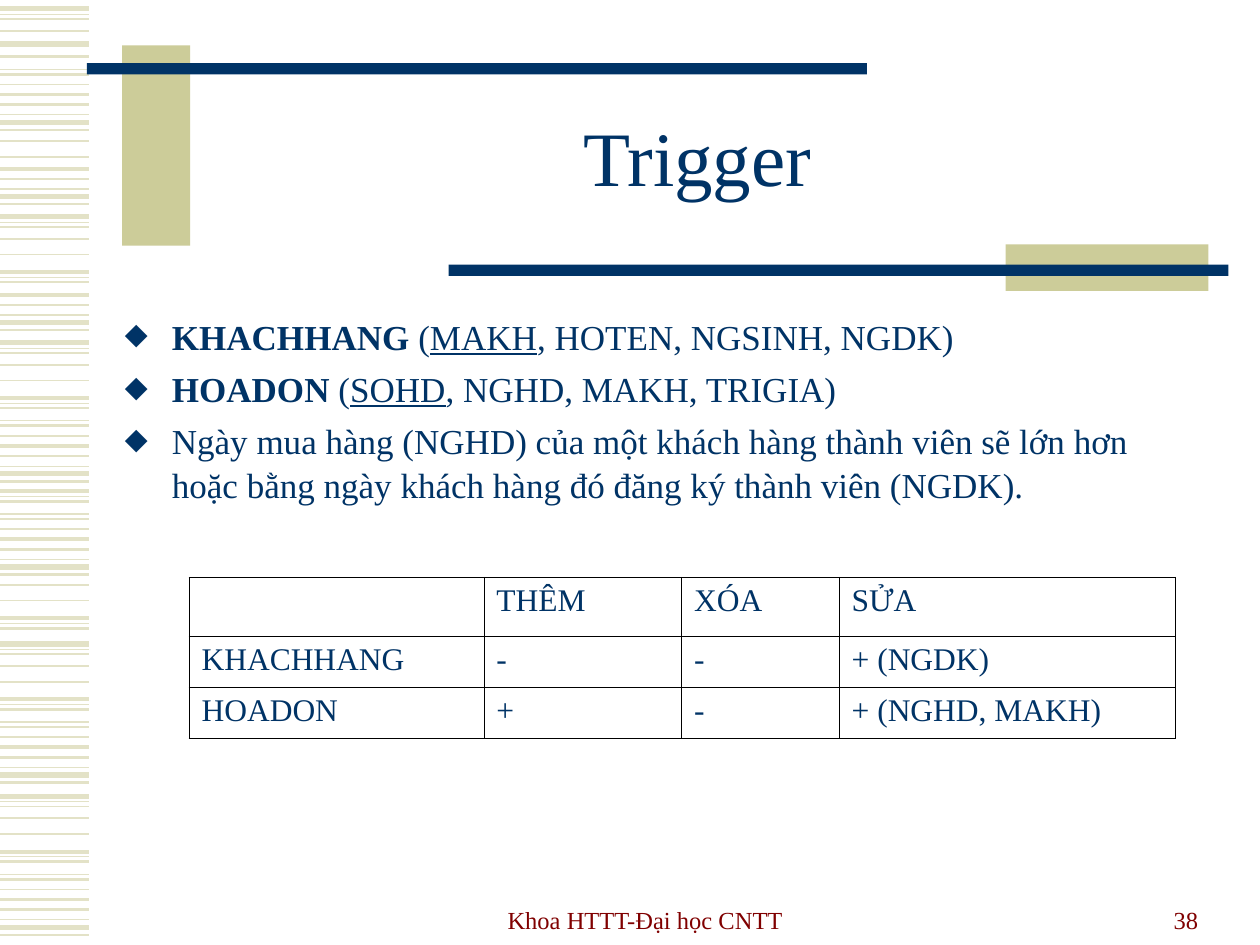
from lxml import etree
from pptx import Presentation
from pptx.dml.color import RGBColor
from pptx.enum.shapes import MSO_CONNECTOR as CONN, MSO_SHAPE as SHAPE
from pptx.enum.text import MSO_ANCHOR as ANCHOR, MSO_AUTO_SIZE as AUTO, PP_ALIGN as ALIGN
from pptx.oxml import parse_xml
from pptx.oxml.ns import nsdecls, qn
from pptx.util import Pt

NAVY = RGBColor(0x00, 0x33, 0x66)
KHAKI = RGBColor(0xCC, 0xCC, 0x99)
PALE_KHAKI = RGBColor(0xE3, 0xE2, 0xC7)
MAROON = RGBColor(0x80, 0x00, 0x00)
FONT = "Times New Roman"

# Stripe pattern of the left margin: (offset, width)
STRIPES = [(0, 3), (3.2, 0.75), (5.8, 1), (12.6, 1), (21.6, 1), (31.7, 2.25),
           (34.6, 0.75), (37.4, 1.5), (44.6, 0.75), (47.5, 1.5), (53.3, 1),
           (59, 2.25), (64.8, 1.5), (70.6, 0.75), (74.9, 3), (79.2, 1.5)]
# Parts of the pattern down the margin: (top of pattern, first, end)
STRIPE_RUNS = [(5, 0, 4), (25.2, 0, 1), (-5, 7, 16), (68, 3, 5), (37.4, 11, 16),
               (123.8, 0, 8), (109.4, 11, 16), (195.8, 0, 16), (249.1, 5, 16),
               (321.6, 3, 8), (368, 0, 16), (455, 0, 16)]

BARS = [(69.8, 25.9, 38.9, 114.5, KHAKI), (49.7, 36, 445.7, 6.5, NAVY),
        (574.6, 139.7, 115.9, 26.6, KHAKI), (256.3, 151.2, 445.7, 6.5, NAVY)]

# Each bullet is a list of (text, style)
BULLETS = [
    [("KHACHHANG ", "bold"), ("(", ""), ("MAKH", "underline"),
     (", HOTEN, NGSINH, NGDK)", "")],
    [("HOADON", "bold"), (" (", ""), ("SOHD", "underline"),
     (", NGHD, MAKH, TRIGIA)", "")],
    [("Ngày mua hàng (NGHD) của một khách hàng thành viên sẽ lớn hơn hoặc bằng "
      "ngày khách hàng đó đăng ký thành viên (NGDK).", "")],
]

IMPACT_ROWS = [["", "THÊM", "XÓA", "SỬA"],
               ["KHACHHANG", "-", "-", "+ (NGDK)"],
               ["HOADON", "+", "-", "+ (NGHD, MAKH)"]]
COL_WIDTHS = [168.5, 113, 90, 192.2]
ROW_HEIGHTS = [33.8, 29.2, 29.2]


def style_run(r, size, color):
    r.font.name = FONT
    r.font.size = Pt(size)
    r.font.color.rgb = color


def place(sp, left, top, width, height):
    sp.left, sp.top, sp.width, sp.height = map(Pt, (left, top, width, height))


def add_stripe(slide, y, width):
    line = slide.shapes.add_connector(CONN.STRAIGHT, Pt(0), Pt(y), Pt(51), Pt(y))
    line.line.color.rgb = PALE_KHAKI
    line.line.width = Pt(width)
    etree.SubElement(line._element.spPr, qn("a:effectLst"))


def add_bar(slide, left, top, width, height, color):
    sp = slide.shapes.add_shape(SHAPE.RECTANGLE, *map(Pt, (left, top, width, height)))
    sp.shadow.inherit = False
    sp.fill.solid()
    sp.fill.fore_color.rgb = color
    sp.line.fill.background()


def set_title(sp, text):
    place(sp, 108, 48.2, 581, 90)
    tf = sp.text_frame
    tf.text = text
    tf.auto_size = AUTO.NONE
    tf.vertical_anchor = ANCHOR.MIDDLE
    p = tf.paragraphs[0]
    p.alignment = ALIGN.CENTER
    p.line_spacing = 0.85
    style_run(p.runs[0], 44, NAVY)


def add_diamond(p):
    pPr = p._p.get_or_add_pPr()
    pPr.set("marL", str(Pt(27)))
    pPr.set("indent", str(Pt(-27)))
    color = etree.SubElement(pPr, qn("a:buClr"))
    etree.SubElement(color, qn("a:srgbClr"), val=str(NAVY))
    etree.SubElement(pPr, qn("a:buFont"), typeface=FONT)
    etree.SubElement(pPr, qn("a:buChar"), char="⬥")


def set_bullets(sp, bullets):
    place(sp, 64, 175.5, 626.4, 305)
    tf = sp.text_frame
    tf.auto_size = AUTO.NONE
    tf.vertical_anchor = ANCHOR.TOP
    for i, parts in enumerate(bullets):
        p = tf.add_paragraph() if i else tf.paragraphs[0]
        add_diamond(p)
        p.alignment = ALIGN.LEFT
        p.line_spacing = 1.04
        p.space_before = Pt(5 if i else 0)
        for text, style in parts:
            r = p.add_run()
            r.text = text
            style_run(r, 20, NAVY)
            r.font.bold = style == "bold"
            r.font.underline = style == "underline"


def add_footer(slide, text, left, width, align):
    tf = slide.shapes.add_textbox(Pt(left), Pt(501.8), Pt(width), Pt(36)).text_frame
    tf.word_wrap = True
    tf.vertical_anchor = ANCHOR.BOTTOM
    tf.text = text
    p = tf.paragraphs[0]
    p.alignment = align
    style_run(p.runs[0], 14, MAROON)


def format_cell(cell, text):
    tcPr = cell._tc.get_or_add_tcPr()
    for side in ("lnL", "lnR", "lnT", "lnB"):
        tcPr.append(parse_xml(
            f'<a:{side} {nsdecls("a")} w="{Pt(0.45)}"><a:solidFill>'
            f'<a:srgbClr val="000000"/></a:solidFill></a:{side}>'))
    cell.fill.background()
    cell.text = text
    for r in cell.text_frame.paragraphs[0].runs:
        style_run(r, 18, NAVY)


def add_impact_table(slide):
    frame = slide.shapes.add_table(
        len(IMPACT_ROWS), len(COL_WIDTHS), Pt(108), Pt(329.8),
        Pt(sum(COL_WIDTHS)), Pt(sum(ROW_HEIGHTS)))
    table = frame.table
    table.first_row = table.horz_banding = False
    for col, width in zip(table.columns, COL_WIDTHS):
        col.width = Pt(width)
    for row, height, texts in zip(table.rows, ROW_HEIGHTS, IMPACT_ROWS):
        row.height = Pt(height)
        for cell, text in zip(row.cells, texts):
            format_cell(cell, text)


def main():
    prs = Presentation()
    prs.slide_width, prs.slide_height = Pt(720), Pt(540)
    slide = prs.slides.add_slide(prs.slide_layouts[1])

    # Margin stripes and decorative bars
    for top, first, end in STRIPE_RUNS:
        for offset, width in STRIPES[first:end]:
            add_stripe(slide, top + offset, width)
    for bar in BARS:
        add_bar(slide, *bar)

    # Title, relations and impact table
    set_title(slide.shapes.title, "Trigger")
    set_bullets(slide.placeholders[1], BULLETS)
    add_impact_table(slide)

    # Footer and slide number
    add_footer(slide, "Khoa HTTT-Đại học CNTT", 247, 243.4, ALIGN.CENTER)
    add_footer(slide, "38", 519, 172.8, ALIGN.RIGHT)

    prs.save("out.pptx")


if __name__ == "__main__":
    main()
